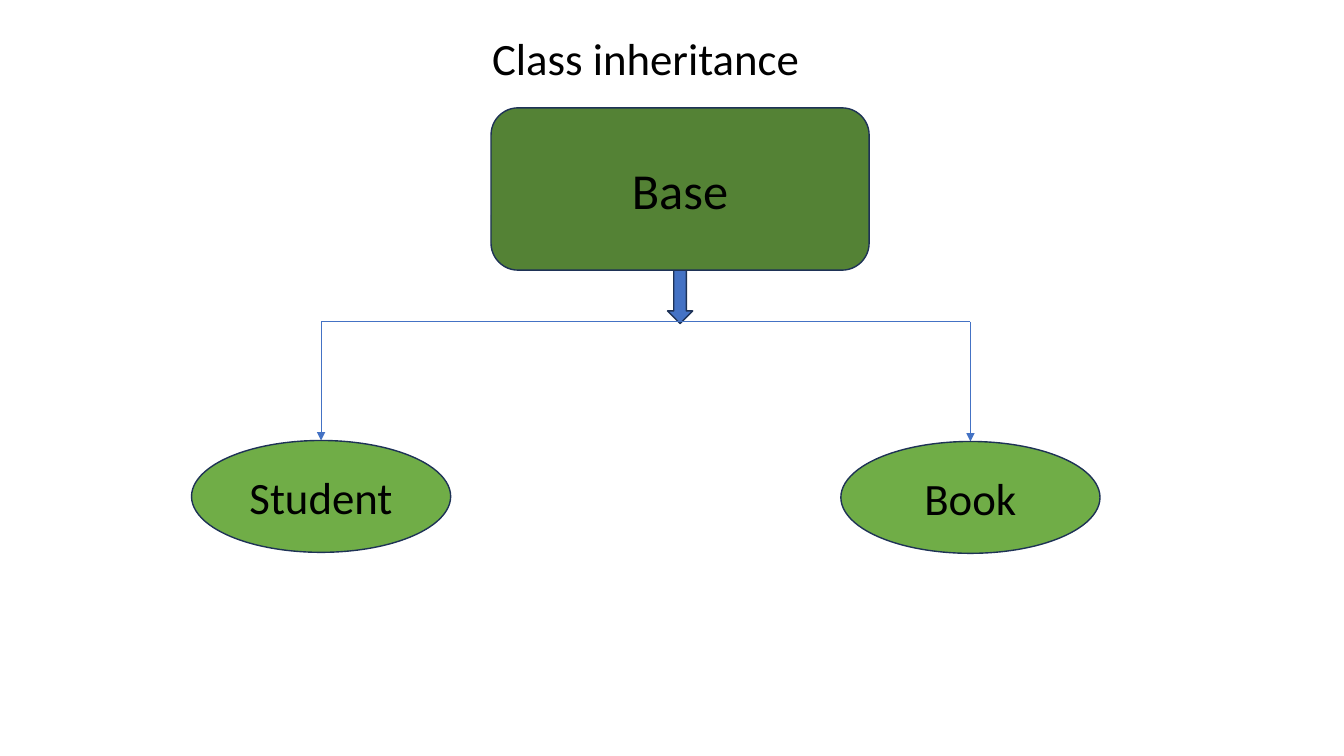
from dataclasses import dataclass

from lxml import etree
from pptx import Presentation
from pptx.dml.color import RGBColor
from pptx.enum.shapes import MSO_CONNECTOR, MSO_SHAPE
from pptx.enum.text import MSO_ANCHOR, MSO_AUTO_SIZE, PP_ALIGN
from pptx.oxml.ns import qn
from pptx.slide import Slide
from pptx.text.text import TextFrame
from pptx.util import Inches, Pt

ROUNDED = MSO_SHAPE.ROUNDED_RECTANGLE
ELLIPSE = MSO_SHAPE.OVAL
DOWN_ARROW = MSO_SHAPE.DOWN_ARROW
STRAIGHT = MSO_CONNECTOR.STRAIGHT
CENTER = PP_ALIGN.CENTER
TOP, MIDDLE = MSO_ANCHOR.TOP, MSO_ANCHOR.MIDDLE
FIT_SHAPE = MSO_AUTO_SIZE.SHAPE_TO_FIT_TEXT
TITLE_ONLY_LAYOUT = 5


@dataclass(frozen=True)
class Theme:
    font: str = "Calibri"
    text: RGBColor = RGBColor(0x00, 0x00, 0x00)
    base: RGBColor = RGBColor(0x54, 0x82, 0x35)
    derived: RGBColor = RGBColor(0x70, 0xAD, 0x47)
    link: RGBColor = RGBColor(0x44, 0x72, 0xC4)
    outline: RGBColor = RGBColor(0x1E, 0x32, 0x56)
    base_size: int = 36
    text_size: int = 32
    outline_width: float = 1
    link_width: float = 0.5


@dataclass(frozen=True)
class Node:
    kind: MSO_SHAPE
    left: float
    top: float
    width: float
    height: float
    fill: RGBColor
    label: str = ""
    size: int = 0

    @property
    def center(self) -> float:
        return self.left + self.width / 2


@dataclass(frozen=True)
class Link:
    x1: float
    y1: float
    x2: float
    y2: float
    arrow: bool = False


THEME = Theme()


def write_text(frame: TextFrame, text: str, size: int, anchor: MSO_ANCHOR) -> None:
    frame.word_wrap = True
    frame.vertical_anchor = anchor
    paragraph = frame.paragraphs[0]
    paragraph.alignment = CENTER
    run = paragraph.add_run()
    run.text = text
    run.font.name = THEME.font
    run.font.size = Pt(size)
    run.font.color.rgb = THEME.text


def draw_title(slide: Slide, text: str) -> None:
    title = slide.shapes.title
    title.left, title.top = Inches(0.84), Inches(0.25)
    title.width, title.height = Inches(11.13), Inches(0.64)
    write_text(title.text_frame, text, THEME.text_size, TOP)
    title.text_frame.auto_size = FIT_SHAPE


def draw_node(slide: Slide, node: Node) -> None:
    shape = slide.shapes.add_shape(
        node.kind, Inches(node.left), Inches(node.top),
        Inches(node.width), Inches(node.height))
    shape.shadow.inherit = False
    shape.fill.solid()
    shape.fill.fore_color.rgb = node.fill
    shape.line.color.rgb = THEME.outline
    shape.line.width = Pt(THEME.outline_width)
    if node.label:
        write_text(shape.text_frame, node.label, node.size, MIDDLE)


def draw_link(slide: Slide, link: Link) -> None:
    connector = slide.shapes.add_connector(
        STRAIGHT, Inches(link.x1), Inches(link.y1), Inches(link.x2), Inches(link.y2))
    connector.line.color.rgb = THEME.link
    connector.line.width = Pt(THEME.link_width)
    if link.arrow:
        line = connector.line._get_or_add_ln()
        etree.SubElement(line, qn("a:tailEnd"), type="triangle")
    etree.SubElement(connector._element.spPr, qn("a:effectLst"))


def main() -> None:
    deck = Presentation()
    deck.slide_width, deck.slide_height = Inches(13.33), Inches(7.5)
    slide = deck.slides.add_slide(deck.slide_layouts[TITLE_ONLY_LAYOUT])

    # Base class and its derived classes
    base = Node(ROUNDED, 4.87, 1.07, 3.75, 1.61, THEME.base, "Base", THEME.base_size)
    student, book = (
        Node(ELLIPSE, left, top, 2.57, 1.11, THEME.derived, label, THEME.text_size)
        for label, left, top in (("Student", 1.9, 4.37), ("Book", 8.34, 4.38)))
    stem_width = 0.25
    stem = Node(DOWN_ARROW, base.center - stem_width / 2, 2.56, stem_width, 0.65, THEME.link)

    # Horizontal branch with one arrow down to each derived class
    branch_y = 3.19
    links = [Link(student.center, branch_y, book.center, branch_y)]
    links += [Link(child.center, branch_y, child.center, child.top, arrow=True)
              for child in (book, student)]

    # Drawing order, back to front
    for node in (stem, base):
        draw_node(slide, node)
    for link in links:
        draw_link(slide, link)
    for node in (student, book):
        draw_node(slide, node)
    draw_title(slide, "Class inheritance")

    deck.save("out.pptx")


if __name__ == "__main__":
    main()
